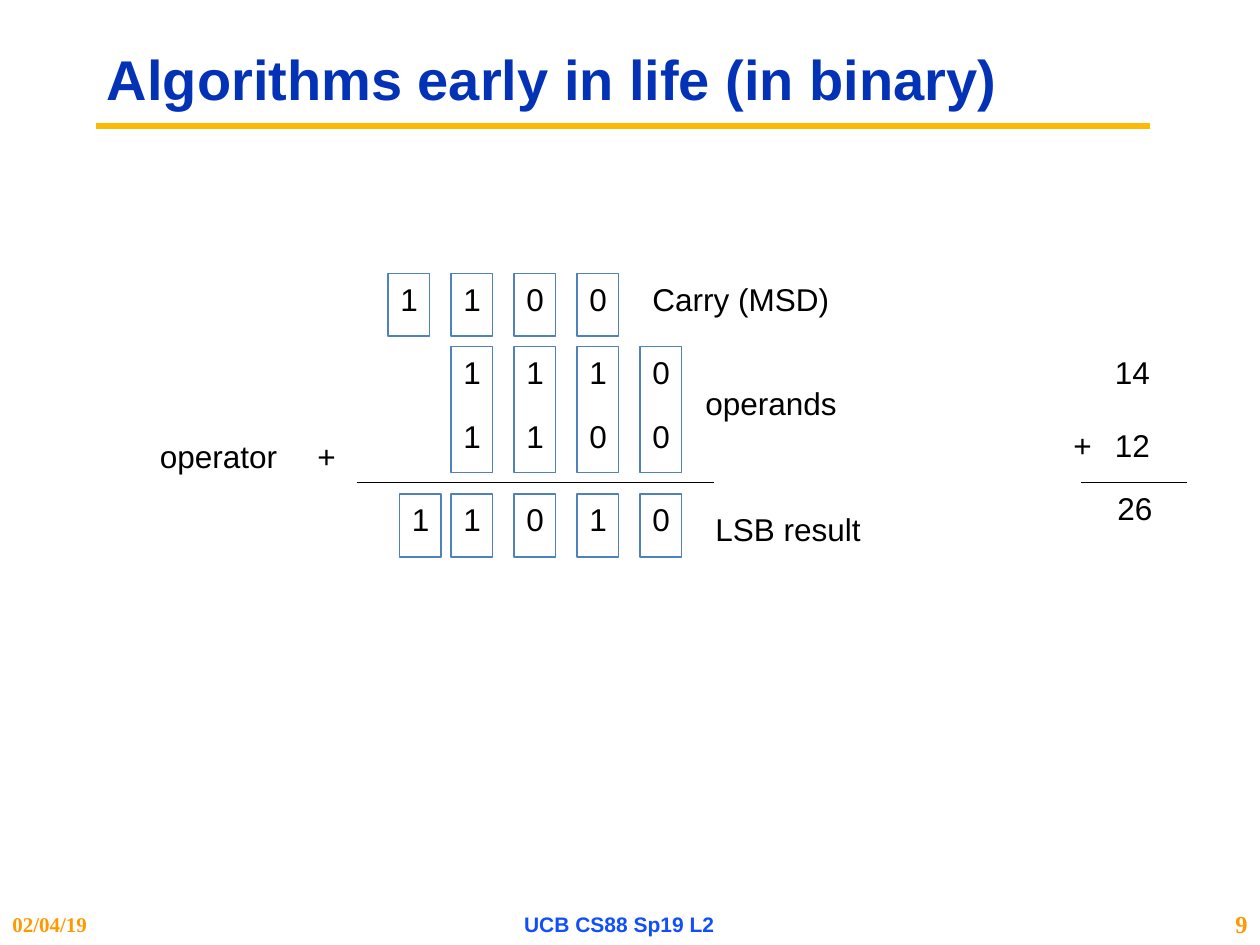
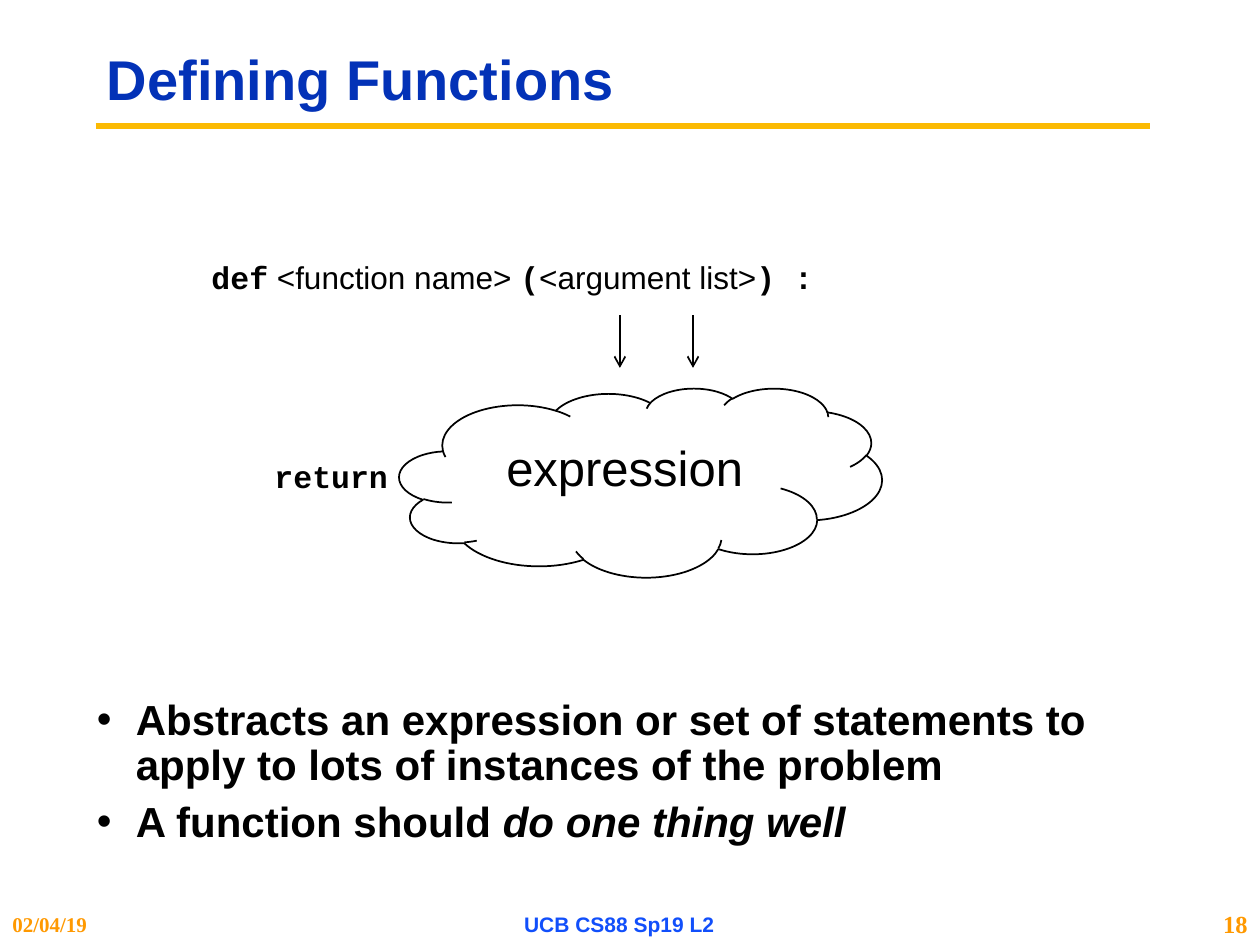
from lxml import etree
from pptx import Presentation
from pptx.dml.color import RGBColor
from pptx.enum.shapes import MSO_CONNECTOR, MSO_SHAPE
from pptx.enum.text import MSO_ANCHOR, MSO_AUTO_SIZE, PP_ALIGN
from pptx.oxml.ns import qn
from pptx.util import Emu, Pt

STRAIGHT = MSO_CONNECTOR.STRAIGHT
RECT, CLOUD = MSO_SHAPE.RECTANGLE, MSO_SHAPE.CLOUD
TOP, MIDDLE = MSO_ANCHOR.TOP, MSO_ANCHOR.MIDDLE
LEFT, CENTER, RIGHT = PP_ALIGN.LEFT, PP_ALIGN.CENTER, PP_ALIGN.RIGHT
NO_FIT, GROW = MSO_AUTO_SIZE.NONE, MSO_AUTO_SIZE.SHAPE_TO_FIT_TEXT

PX = 9144  # 100 px to the inch
COLORS = {"title": "0332B7", "rule": "FBBA03", "ink": "000000", "cell": "4F81BD",
          "orange": "FF9900", "blue": "114FFB", "paper": "FFFFFF"}

# Text styles: font attributes, colour kept apart
PLAIN = {"name": "Arial", "size": 18, "bold": False, "color": "ink"}
CODE = {**PLAIN, "name": "Courier New", "bold": True}
BIG = {**PLAIN, "size": 28}
TITLE = {**PLAIN, "size": 32, "bold": True, "color": "title"}
BODY = {**PLAIN, "size": 24, "bold": True}
EMPHASIS = {**BODY, "italic": True}
DATE = {"name": "Times New Roman", "size": 12, "bold": True, "color": "orange"}
NUMBER = {**DATE, "size": 14}
COURSE = {**DATE, "name": "Arial", "color": "blue"}

# Binary addition: digit rows are (first column left, top, digits)
COLUMN, CELL_W, CELL_H, OPERANDS_H = 50, 33, 50, 100
CARRY = (308, 217, "1100")
OPERANDS = [(358, 275, "1110"), (358, 326, "1100")]
RESULT = (358, 392, "1010")
OVERFLOW = (317, 392, "1")
ADDITION_LABELS = [
    ("Carry (MSD)", 508, 217, 162), ("operands", 550, 300, 125),
    ("LSB result", 558, 400, 137), ("operator", 117, 342, 114), ("+", 242, 342, 36),
    ("14", 875, 275, 48), ("12", 875, 333, 48), ("26", 877, 383, 48), ("+", 842, 333, 36)]
SUM_LINES = [(283, 567), (858, 942)]
SUM_LINE_Y = 383

# Function definition
SIGNATURE = [("def", CODE), (" <function name> ", PLAIN), ("(", CODE),
             ("<argument list>", PLAIN), (") :", CODE)]
ARGUMENT_XS = [492, 550]
BULLETS = [
    [("Abstracts an expression or set of statements to apply to lots of instances "
      "of the problem", BODY)],
    [("A function should ", BODY), ("do one thing well", EMPHASIS)]]


def rgb(key):
    return RGBColor.from_string(COLORS[key])


def add_runs(p, runs):
    for text, style in runs:
        r = p.add_run()
        r.text = text
        for name, value in style.items():
            if name == "color":
                r.font.color.rgb = rgb(value)
            else:
                setattr(r.font, name, Pt(value) if name == "size" else value)


def add_text(s, box, paragraphs, wrap=False, fit=NO_FIT, anchor=TOP, align=LEFT, spacing=1):
    tf = s.shapes.add_textbox(*(Emu(v * PX) for v in box)).text_frame
    frame = {"word_wrap": wrap, "auto_size": fit, "vertical_anchor": anchor,
             "margin_left": 10 * PX, "margin_right": 10 * PX,
             "margin_top": 5 * PX, "margin_bottom": 5 * PX}
    for name, value in frame.items():
        setattr(tf, name, value)
    for i, runs in enumerate(paragraphs):
        p = tf.add_paragraph() if i else tf.paragraphs[0]
        p.alignment, p.line_spacing = align, spacing
        add_runs(p, runs)
    return tf


def add_label(s, text, x, y, w, h=40, style=PLAIN):
    add_text(s, (x, y, w, h), [[(text, style)]], fit=GROW)


def add_line(s, x1, y1, x2, y2, color="ink", width=1, arrow=False):
    line = s.shapes.add_connector(STRAIGHT, *(Emu(v * PX) for v in (x1, y1, x2, y2)))
    line.line.color.rgb = rgb(color)
    line.line.width = Pt(width)
    if arrow:
        ln = line.line._get_or_add_ln()
        etree.SubElement(ln, qn("a:tailEnd"), type="arrow")
    etree.SubElement(line._element.spPr, qn("a:effectLst"))


def add_outline(s, kind, box, color):
    sp = s.shapes.add_shape(kind, *(Emu(v * PX) for v in box))
    sp.shadow.inherit = False
    sp.fill.background()
    sp.line.color.rgb = rgb(color)
    sp.line.width = Pt(1)


def add_digits(s, row, cell_h=None):
    """Write one digit per column, boxed when a cell height is given."""
    left, top, digits = row
    for i, digit in enumerate(digits):
        x = left + i * COLUMN
        if cell_h:
            add_outline(s, RECT, (x, top, CELL_W, cell_h), "cell")
        add_label(s, digit, x, top, 34)


def add_bullets(s, box, items):
    tf = add_text(s, box, items, wrap=True, spacing=0.9)
    for i, p in enumerate(tf.paragraphs):
        if i:
            p.space_before = Pt(6.5)
        pPr = p._p.get_or_add_pPr()
        pPr.set("marL", str(31 * PX))
        pPr.set("indent", str(-31 * PX))
        etree.SubElement(pPr, qn("a:buFont"), typeface="Arial")
        etree.SubElement(pPr, qn("a:buChar"), char="•")


def new_slide(prs, title, number):
    """Add a slide with the shared rule, title and footer."""
    s = prs.slides.add_slide(prs.slide_layouts[6])
    s.background.fill.solid()
    s.background.fill.fore_color.rgb = rgb("paper")
    add_line(s, 76, 100, 913, 100, "rule", 3.75)
    add_text(s, (75, 25, 842, 81), [[(title, TITLE)]], wrap=True, anchor=MIDDLE, spacing=0.9)
    footer = [(942, 58, str(number), NUMBER, RIGHT), (0, 167, "02/04/19", DATE, LEFT),
              (333, 317, "UCB CS88 Sp19 L2", COURSE, CENTER)]
    for x, w, text, style, align in footer:
        add_text(s, (x, 717, w, 33), [[(text, style)]], anchor=MIDDLE, align=align)
    return s


def build_addition(prs):
    s = new_slide(prs, "Algorithms early in life (in binary)", 9)
    add_digits(s, OPERANDS[0], OPERANDS_H)
    add_digits(s, OPERANDS[1])
    for row in (CARRY, RESULT, OVERFLOW):
        add_digits(s, row, CELL_H)
    for label in ADDITION_LABELS:
        add_label(s, *label)
    for x1, x2 in SUM_LINES:
        add_line(s, x1, SUM_LINE_Y, x2, SUM_LINE_Y)


def build_functions(prs):
    s = new_slide(prs, "Defining Functions", 18)
    add_bullets(s, (67, 550, 833, 142), BULLETS)
    add_label(s, "expression", 392, 342, 210, 57, BIG)
    add_outline(s, CLOUD, (317, 308, 383, 150), "ink")
    add_text(s, (158, 200, 502, 40), [SIGNATURE], fit=GROW)
    add_label(s, "return", 208, 358, 111, style=CODE)
    for x in ARGUMENT_XS:
        add_line(s, x, 250, x, 292, arrow=True)


def main():
    prs = Presentation()
    prs.slide_width, prs.slide_height = Emu(1000 * PX), Emu(750 * PX)
    build_addition(prs)
    build_functions(prs)
    prs.save("out.pptx")


if __name__ == "__main__":
    main()
